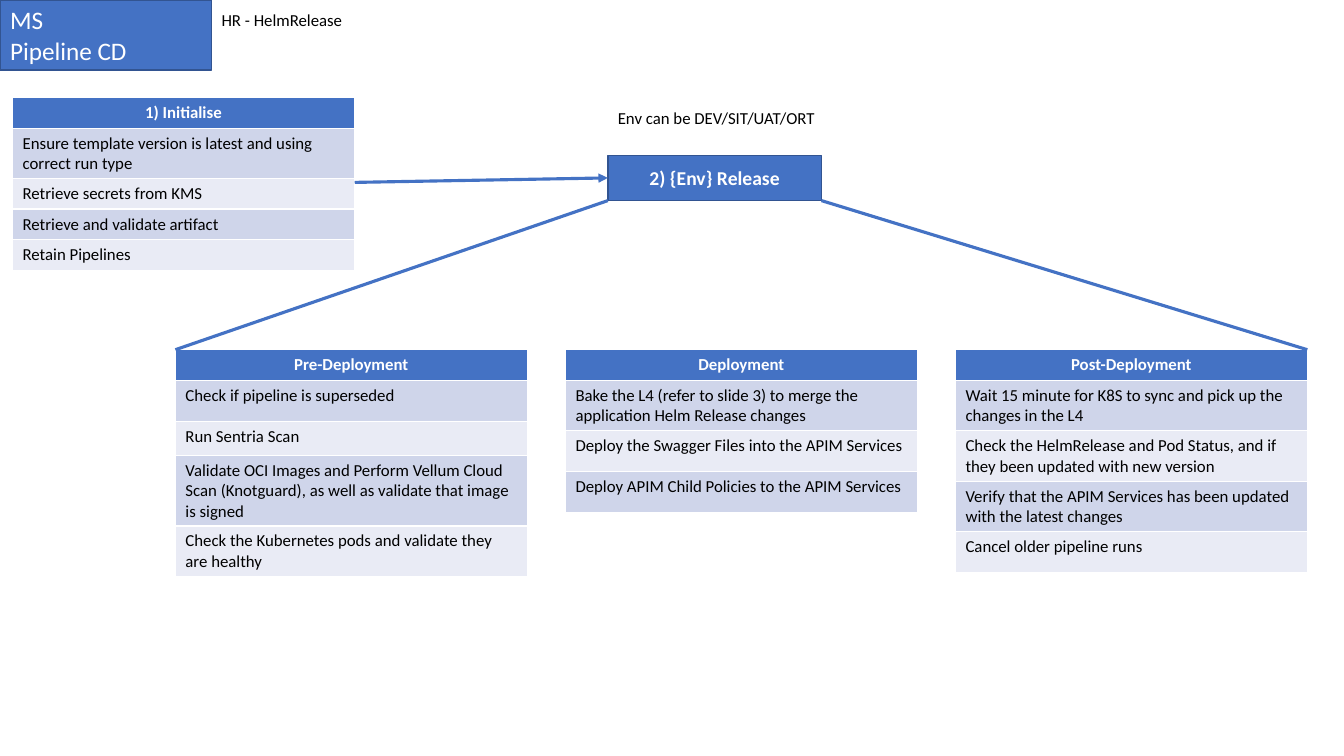
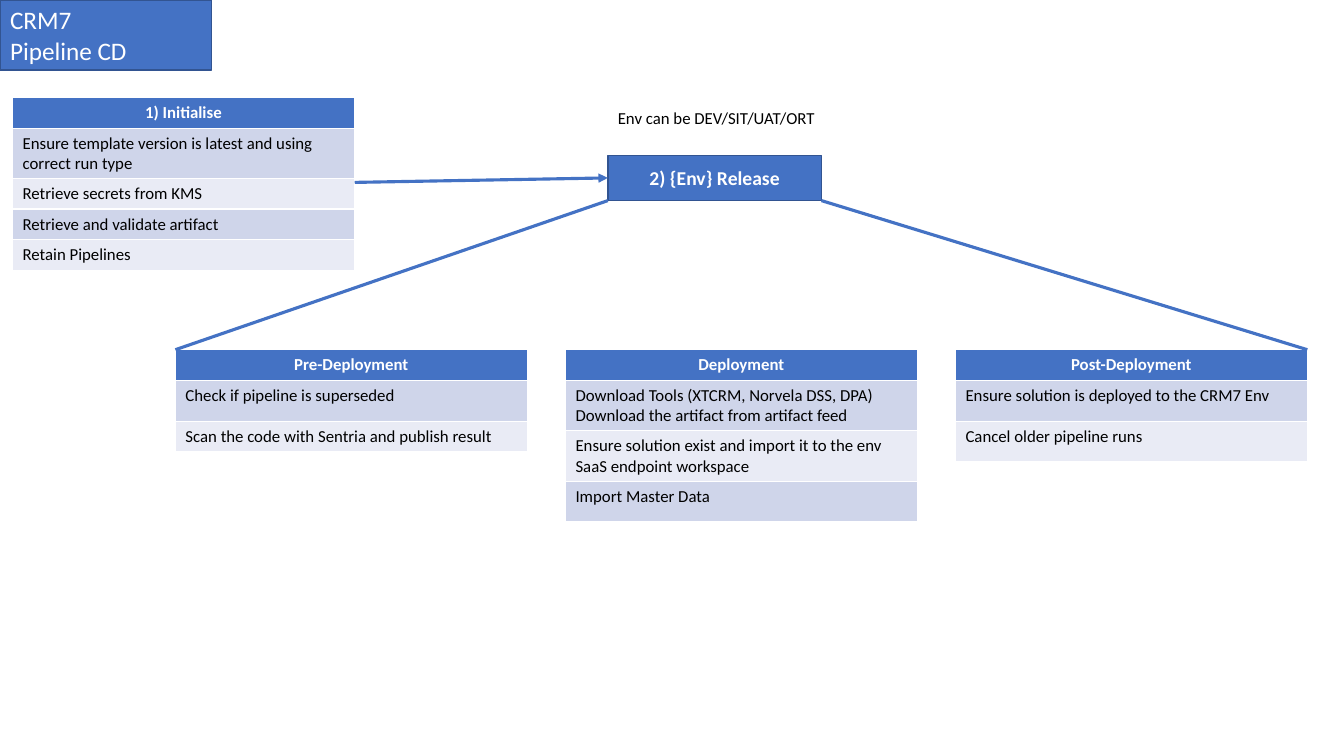
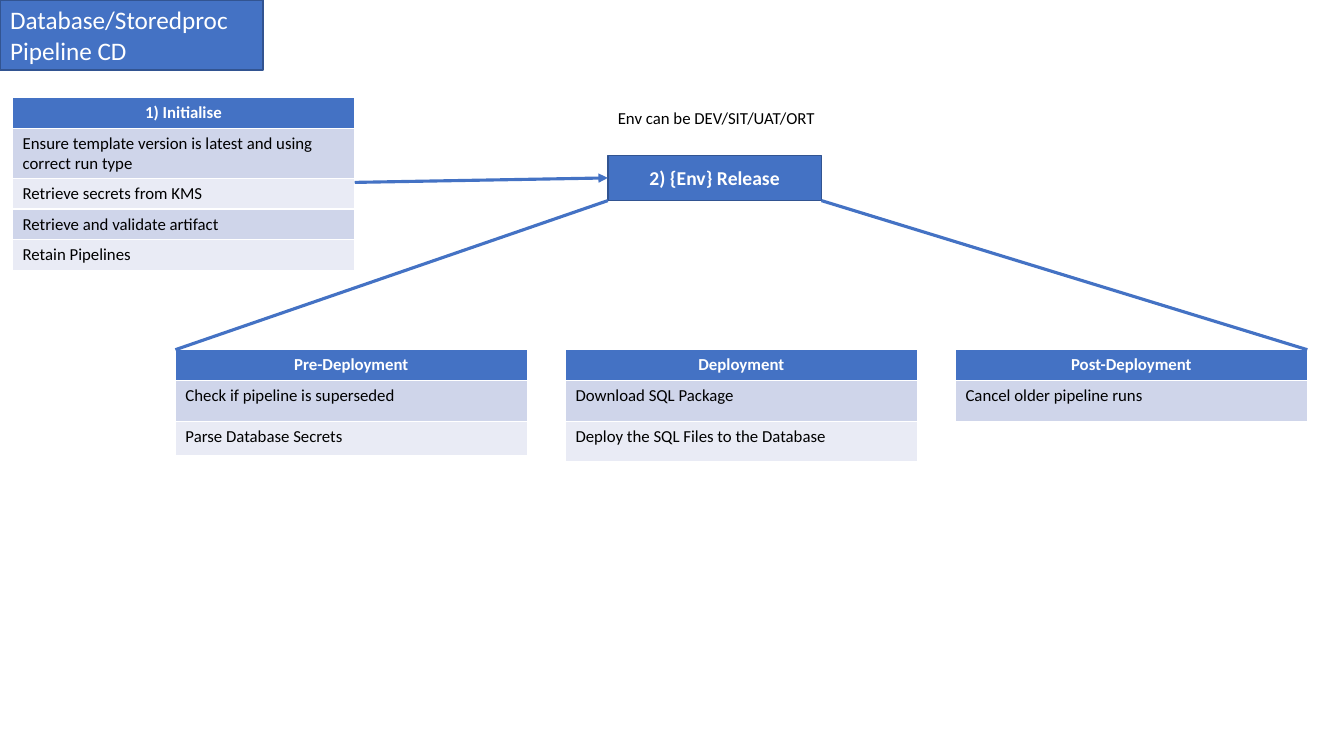
from lxml.etree import SubElement
from pptx import Presentation
from pptx.dml.color import RGBColor
from pptx.enum.shapes import MSO_CONNECTOR as Link, MSO_SHAPE as Shape
from pptx.enum.text import MSO_ANCHOR as Anchor, MSO_AUTO_SIZE as Fit, PP_ALIGN as Align
from pptx.oxml.ns import qn
from pptx.util import Pt

BLUE = RGBColor(0x44, 0x72, 0xC4)
EDGE = RGBColor(0x32, 0x54, 0x91)
BANDS = RGBColor(0xCF, 0xD5, 0xEA), RGBColor(0xE9, 0xEB, 0xF5)
WHITE = RGBColor(0xFF, 0xFF, 0xFF)
BLACK = RGBColor(0, 0, 0)
FONT = "Calibri"

# A row is its text, or its text and a height of its own.
INIT = [
    "Ensure template version is latest and using correct run type",
    "Retrieve secrets from KMS",
    "Retrieve and validate artifact",
    "Retain Pipelines",
]
STAGES = "Pre-Deployment", "Deployment", "Post-Deployment"
CHECK = "Check if pipeline is superseded"
CANCEL = "Cancel older pipeline runs"
SLIDES = [
    {
        "title": "MS\vPipeline CD", "width": 151.2, "note": "HR - HelmRelease",
        "steps": [
            [CHECK,
             ("Run Sentria Scan", 24.5),
             "Validate OCI Images and Perform Vellum Cloud Scan (Knotguard), "
             "as well as validate that image is signed",
             "Check the Kubernetes pods and validate they are healthy"],
            ["Bake the L4 (refer to slide 3) to merge the application Helm Release changes",
             "Deploy the Swagger Files into the APIM Services",
             "Deploy APIM Child Policies to the APIM Services"],
            ["Wait 15 minute for K8S to sync and pick up the changes in the L4",
             "Check the HelmRelease and Pod Status, and if they been updated with new version",
             "Verify that the APIM Services has been updated with the latest changes",
             CANCEL],
        ],
    },
    {
        "title": "CRM7\vPipeline CD", "width": 151.2,
        "steps": [
            [CHECK, ("Scan the code with Sentria and publish result", 21.8)],
            ["Download Tools (XTCRM, Norvela DSS, DPA)\vDownload the artifact from artifact feed",
             "Ensure solution exist and import it to the env SaaS endpoint workspace",
             "Import Master Data"],
            ["Ensure solution is deployed to the CRM7 Env", CANCEL],
        ],
    },
    {
        "title": "Database/Storedproc\vPipeline CD", "width": 188,
        "steps": [
            [CHECK, ("Parse Database Secrets", 24.5)],
            ["Download SQL Package", "Deploy the SQL Files to the Database"],
            [CANCEL],
        ],
    },
]

HEAD, ROW = 21.8, 29.2
LEFT, TOP, WIDE, STEP = 125.3, 249.8, 251.3, 278.6
BOX = 434.2, 110.9, 152.6, 32.4


def style(frame, size, color, bold=False, align=Align.LEFT):
    for para in frame.paragraphs:
        para.alignment = align
        font = para.font
        font.name, font.size, font.bold = FONT, Pt(size), bold
        font.color.rgb = color


def paint(shape):
    shape.fill.solid()
    shape.fill.fore_color.rgb = BLUE
    shape.line.color.rgb = EDGE
    shape.line.width = Pt(1)
    shape.text_frame.vertical_anchor = Anchor.MIDDLE


def add_title(slide, text, width):
    title = slide.shapes.title
    title.left, title.top, title.width, title.height = 0, 0, Pt(width), Pt(50)
    paint(title)
    title.text_frame.text = text
    title.text_frame.auto_size = Fit.NONE
    style(title.text_frame, 18, WHITE)


def add_note(slide, text, x, y, width):
    frame = slide.shapes.add_textbox(Pt(x), Pt(y), Pt(width), Pt(21.8)).text_frame
    frame.word_wrap = True
    frame.text = text
    style(frame, 12, BLACK)


def add_box(slide):
    box = slide.shapes.add_shape(Shape.RECTANGLE, *map(Pt, BOX))
    box.shadow.inherit = False
    paint(box)
    box.text_frame.text = "2) {Env} Release"
    style(box.text_frame, 14, WHITE, True, Align.CENTER)


def add_steps(slide, head, steps, x, y, width, least):
    """Add a one-column table; least is the usual row height."""
    rows = [(head, HEAD)] + [(s, least) if isinstance(s, str) else s for s in steps]
    total = sum(height for _, height in rows)
    table = slide.shapes.add_table(len(rows), 1, Pt(x), Pt(y), Pt(width), Pt(total)).table
    for i, (text, height) in enumerate(rows):
        table.rows[i].height = Pt(height)
        cell = table.cell(i, 0)
        cell.text = text
        cell.fill.solid()
        cell.fill.fore_color.rgb = BANDS[(i - 1) % 2] if i else BLUE
        if i:
            style(cell.text_frame, 12, BLACK)
        else:
            style(cell.text_frame, 12, WHITE, True, Align.CENTER)


def add_line(slide, start, end, arrow=False):
    line = slide.shapes.add_connector(Link.STRAIGHT, *map(Pt, start + end))
    line.line.color.rgb = BLUE
    line.line.width = Pt(2.25)
    if arrow:
        SubElement(line.line._get_or_add_ln(), qn("a:tailEnd"), type="triangle")
    SubElement(line._element.spPr, qn("a:effectLst"))


def main():
    deck = Presentation()
    deck.slide_width, deck.slide_height = Pt(960), Pt(540)
    x, y, width, height = BOX
    base, right = y + height, x + width
    for page in SLIDES:
        slide = deck.slides.add_slide(deck.slide_layouts[5])
        add_title(slide, page["title"], page["width"])
        if "note" in page:
            add_note(slide, page["note"], 151.2, 3.2, 168.5)
        add_note(slide, "Env can be DEV/SIT/UAT/ORT", x, 73.5, 190)
        add_box(slide)
        add_steps(slide, "1) Initialise", INIT, 9, 69.7, 244.2, HEAD)
        for i, (head, steps) in enumerate(zip(STAGES, page["steps"])):
            add_steps(slide, head, steps, LEFT + i * STEP, TOP, WIDE, ROW)
        add_line(slide, (LEFT, TOP), (x, base))
        add_line(slide, (LEFT + 2 * STEP + WIDE, TOP), (right, base))
        add_line(slide, (253.4, 130.3), (x, y + height / 2), arrow=True)
    deck.save("out.pptx")


if __name__ == "__main__":
    main()
